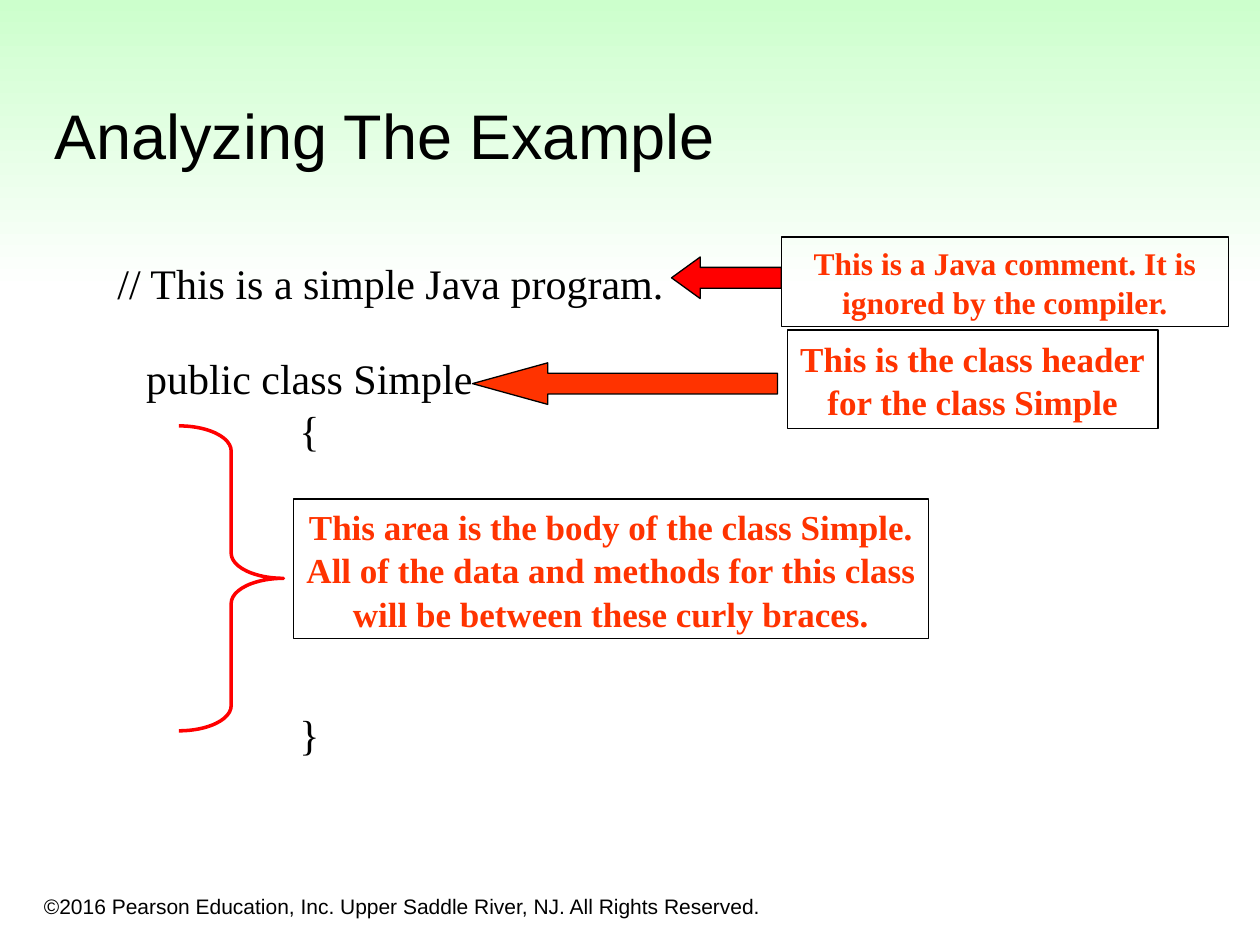
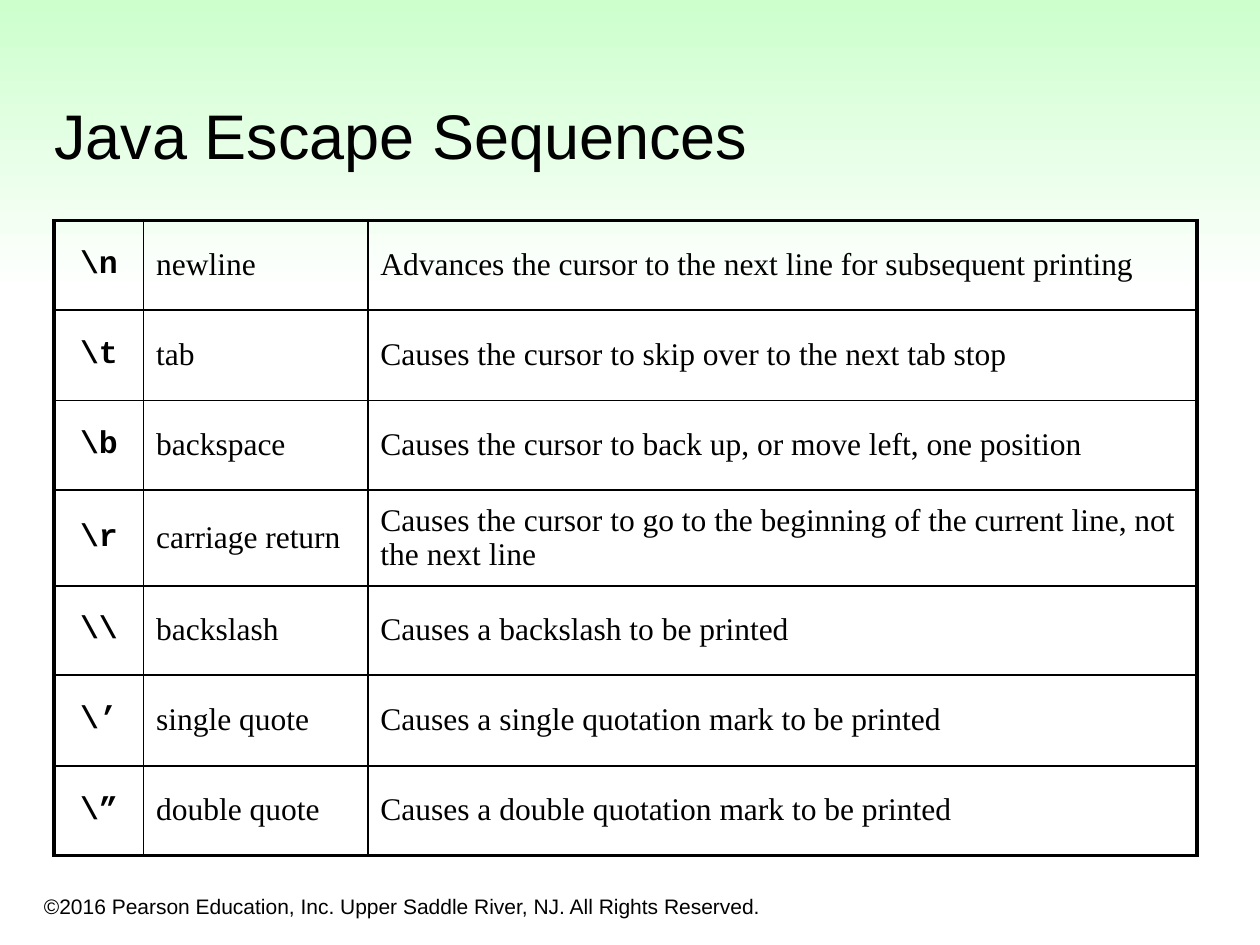
from lxml import etree
from pptx import Presentation
from pptx import util as u
from pptx.dml.color import RGBColor
from pptx.enum import shapes, text
from pptx.oxml.ns import qn

BLACK, RED, ORANGE = "000000", "FF0000", "FF3300"
MINT, WHITE = "CCFFCC", "FFFFFF"
SANS, SERIF, MONO = "Arial", "Times New Roman", "Courier New"
LEFT, CENTER = text.PP_ALIGN.LEFT, text.PP_ALIGN.CENTER
TOP, MIDDLE, BOTTOM = (text.MSO_ANCHOR.TOP, text.MSO_ANCHOR.MIDDLE,
                       text.MSO_ANCHOR.BOTTOM)
SHAPE = shapes.MSO_SHAPE
COPYRIGHT = ("©2016 Pearson Education, Inc. Upper Saddle River, NJ. "
             "All Rights Reserved.")


def rgb(value):
    return RGBColor.from_string(value)


def box(*values):
    return [u.Inches(v) for v in values]


class Deck:
    """Holds the shared style and the current slide."""

    def __init__(self):
        self.prs = Presentation()
        self.prs.slide_width, self.prs.slide_height = box(10, 7.5)
        self.s = None

    def fill_text(self, tf, content, size, font=SERIF, color=BLACK,
                  bold=False, align=LEFT, spacing=1.0, gaps=()):
        for i, line in enumerate(content.split("\n")):
            p = tf.paragraphs[0] if i == 0 else tf.add_paragraph()
            r = p.add_run()
            r.text = line
            p.alignment, p.line_spacing = align, spacing
            p.space_before = u.Pt(gaps[i] if i < len(gaps) else 0)
            style = {"name": font, "size": u.Pt(size), "bold": bold}
            for key, value in style.items():
                setattr(r.font, key, value)
            r.font.color.rgb = rgb(color)

    def slide(self, title):
        self.s = self.prs.slides.add_slide(self.prs.slide_layouts[5])
        band = self.shape(SHAPE.PENTAGON, (0, -0.01, 10, 2.33), adj=[0])
        band.fill.gradient()
        band.fill.gradient_angle = 270
        for stop, color in zip(band.fill.gradient_stops, (MINT, WHITE)):
            stop.color.rgb = rgb(color)
        self.s.shapes._spTree.insert(2, band._element)
        self.text((0.25, 6.92, 6.08, 0.42), COPYRIGHT, 12, anchor=BOTTOM,
                  font=SANS)
        sp = self.s.shapes.title
        sp.left, sp.top, sp.width, sp.height = box(0.33, 0.33, 9.42, 1.09)
        sp.text_frame.vertical_anchor = BOTTOM
        self.fill_text(sp.text_frame, title, 36, font=SANS)

    def text(self, at, content, size, anchor=TOP, **fmt):
        tf = self.s.shapes.add_textbox(*box(*at)).text_frame
        tf.word_wrap, tf.vertical_anchor = True, anchor
        self.fill_text(tf, content, size, **fmt)

    def shape(self, kind, at, fill=None, line=None, width=0.75, adj=()):
        sp = self.s.shapes.add_shape(kind, *box(*at))
        sp.shadow.inherit = False
        for i, value in enumerate(adj):
            sp.adjustments[i] = value
        if fill:
            sp.fill.solid()
            sp.fill.fore_color.rgb = rgb(fill)
        else:
            sp.fill.background()
        if line:
            sp.line.color.rgb = rgb(line)
            sp.line.width = u.Pt(width)
        else:
            sp.line.fill.background()
        return sp

    def callout(self, at, content, size, wrap=False):
        tf = self.shape(SHAPE.RECTANGLE, at, line=BLACK).text_frame
        tf.word_wrap, tf.vertical_anchor = wrap, MIDDLE
        self.fill_text(tf, content, size, color=ORANGE, bold=True,
                       align=CENTER, spacing=1.04)

    def arrow(self, at, fill, head):
        self.shape(SHAPE.LEFT_ARROW, at, fill, BLACK, adj=(0.5, head))

    def borders(self, cell, outer):
        tcPr = cell._tc.get_or_add_tcPr()
        for i, side in enumerate("LRTB"):
            width = u.Pt(2.25 if side in outer else 1)
            ln = etree.Element(qn(f"a:ln{side}"), w=str(int(width)))
            fill = etree.SubElement(ln, qn("a:solidFill"))
            etree.SubElement(fill, qn("a:srgbClr"), val=BLACK)
            tcPr.insert(i, ln)

    def table(self, left, top, widths, heights, rows):
        at = box(left, top, sum(widths), sum(heights))
        tbl = self.s.shapes.add_table(len(rows), len(widths), *at).table
        tbl.first_row = tbl.horz_banding = False
        for column, width in zip(tbl.columns, widths):
            column.width = u.Inches(width)
        for row, height in zip(tbl.rows, heights):
            row.height = u.Inches(height)
        for y, row in enumerate(rows):
            for x, content in enumerate(row):
                cell = tbl.cell(y, x)
                cell.fill.background()
                cell.vertical_anchor = MIDDLE
                edges = {"L": x == 0, "R": x == len(widths) - 1,
                         "T": y == 0, "B": y == len(rows) - 1}
                self.borders(cell, [k for k, on in edges.items() if on])
                fmt = ({"font": MONO, "bold": True, "align": CENTER}
                       if x == 0 else {"spacing": 0.97})
                self.fill_text(cell.text_frame, content, 18, **fmt)


def analyzing_example(deck):
    deck.slide("Analyzing The Example")
    code = {"align": CENTER, "spacing": 1.04}
    deck.text((0.83, 2.73, 3.25, 3.38), "public class Simple\n{\n}", 24,
              gaps=(0, 0, 144), **code)
    deck.callout((2.33, 3.96, 5.04, 1.11),
                 "This area is the body of the class Simple.\n"
                 "All of the data and methods for this class\n"
                 "will be between these curly braces.", 20)
    deck.shape(SHAPE.RIGHT_BRACE, (1.42, 3.38, 0.83, 2.42), line=RED,
               width=2, adj=(0.24, 0.5))
    deck.text((0.83, 1.98, 4.54, 0.58), "// This is a simple Java program.",
              24, **code)
    deck.callout((6.2, 1.88, 3.55, 0.71),
                 "This is a Java comment. It is ignored by the compiler.",
                 18, wrap=True)
    deck.arrow((5.33, 2.04, 0.87, 0.33), RED, 0.69)
    deck.callout((6.25, 2.62, 2.94, 0.78),
                 "This is the class header\nfor the class Simple", 20)
    deck.arrow((3.75, 2.88, 2.42, 0.33), ORANGE, 1.81)


def escape_sequences(deck):
    deck.slide("Java Escape Sequences")
    rows = [
        (r"\n", "newline",
         "Advances the cursor to the next line for subsequent printing"),
        (r"\t", "tab", "Causes the cursor to skip over to the next tab stop"),
        (r"\b", "backspace",
         "Causes the cursor to back up, or move left, one position"),
        (r"\r", "carriage return",
         "Causes the cursor to go to the beginning of the current line, "
         "not the next line"),
        ("\\\\", "backslash", "Causes a backslash to be printed"),
        (r"\’", "single quote", "Causes a single quotation mark to be printed"),
        (r"\”", "double quote", "Causes a double quotation mark to be printed"),
    ]
    deck.table(0.43, 1.75, (0.71, 1.78, 6.58),
               (0.71, 0.72, 0.71, 0.76, 0.71, 0.72, 0.71), rows)


def main():
    deck = Deck()
    analyzing_example(deck)
    escape_sequences(deck)
    deck.prs.save("out.pptx")


if __name__ == "__main__":
    main()
